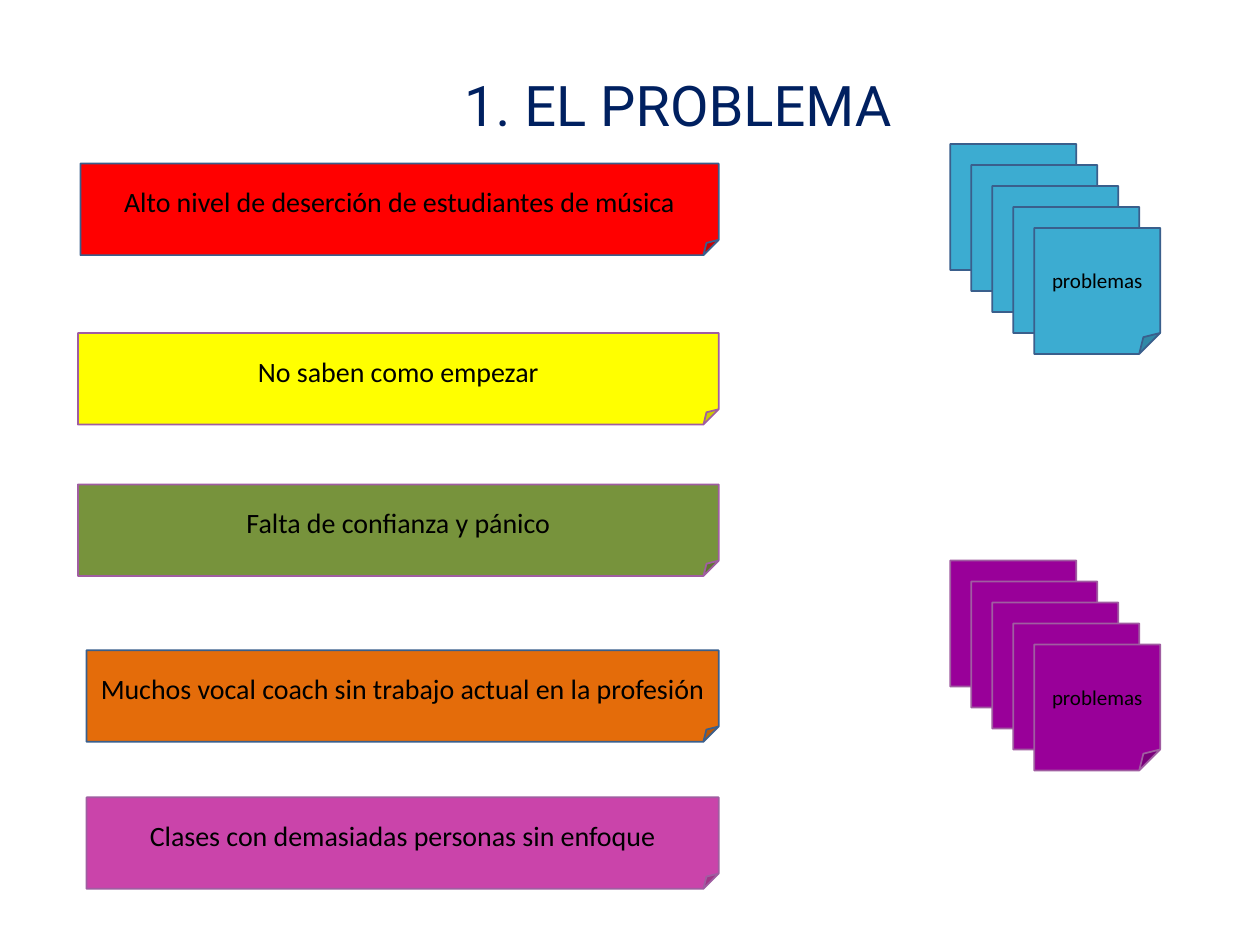
from pptx import Presentation
from pptx.dml.color import RGBColor
from pptx.enum.shapes import MSO_SHAPE
from pptx.enum.text import MSO_ANCHOR, PP_ALIGN
from pptx.util import Pt

COLORS = {
    "black": "000000", "navy": "002060", "red": "FF0000", "yellow": "FFFF00",
    "green": "77933C", "orange": "E46C0A", "pink": "CA44AA",
    "sky": "3CACD1", "purple": "990099",
    "blue edge": "3A5F8C", "violet edge": "A05DA1",
}

TITLE = "1. EL PROBLEMA"
# text, left, top, fill, edge
PROBLEMS = [
    ("Alto nivel de deserción de estudiantes de música", 46, 93.5, "red", "blue edge"),
    ("No saben como empezar", 44.5, 190.3, "yellow", "violet edge"),
    ("Falta de confianza y pánico", 44.5, 276.8, "green", "violet edge"),
    ("Muchos vocal coach sin trabajo actual en la profesión", 49.5, 371.6, "orange", "blue edge"),
    ("Clases con demasiadas personas sin enfoque", 49.5, 455.6, "pink", "violet edge"),
]
# label of the front note, top, fill, edge
STACKS = [
    ("problemas", 82.3, "sky", "blue edge"),
    ("problemas", 320.3, "purple", "violet edge"),
]
BAR_RIGHT, BAR_HEIGHT = 410.7, 52.3
STACK_LEFT, NOTE_SIZE, NOTE_STEP, NOTE_COUNT = 543, 72, 12, 5


def color(name):
    """Return the named colour."""
    return RGBColor.from_string(COLORS[name])


def write(shape, text, size=16, font="Calibri", ink="black",
          anchor=MSO_ANCHOR.MIDDLE, wrap=True):
    """Put one centred line of formatted text in a shape."""
    frame = shape.text_frame
    frame.word_wrap = wrap
    frame.vertical_anchor = anchor
    para = frame.paragraphs[0]
    para.alignment = PP_ALIGN.CENTER
    span = para.add_run()
    span.text = text
    span.font.size = Pt(size)
    span.font.name = font
    span.font.color.rgb = color(ink)


def add_note(page, left, top, width, height, fill, edge):
    """Draw a note with a folded corner."""
    note = page.shapes.add_shape(MSO_SHAPE.FOLDED_CORNER, Pt(left), Pt(top),
                                 Pt(width), Pt(height))
    note.shadow.inherit = False
    note.fill.solid()
    note.fill.fore_color.rgb = color(fill)
    note.line.color.rgb = color(edge)
    note.line.width = Pt(1)
    return note


def add_stack(page, label, top, fill, edge):
    """Draw a diagonal stack of notes and label the front one."""
    for index in range(NOTE_COUNT):
        shift = index * NOTE_STEP
        note = add_note(page, STACK_LEFT + shift, top + shift,
                        NOTE_SIZE, NOTE_SIZE, fill, edge)
    write(note, label, size=12)


def build():
    """Build the slide and save the deck."""
    deck = Presentation()
    deck.slide_width, deck.slide_height = Pt(720), Pt(540)
    page = deck.slides.add_slide(deck.slide_layouts[6])
    for stack in STACKS:
        add_stack(page, *stack)
    for text, left, top, fill, edge in PROBLEMS:
        bar = add_note(page, left, top, BAR_RIGHT - left, BAR_HEIGHT, fill, edge)
        write(bar, text)
    box = page.shapes.add_textbox(Pt(249), Pt(37), Pt(277), Pt(46))
    write(box, TITLE, size=32, font="Roboto", ink="navy",
          anchor=MSO_ANCHOR.TOP, wrap=False)
    deck.save("out.pptx")


build()
